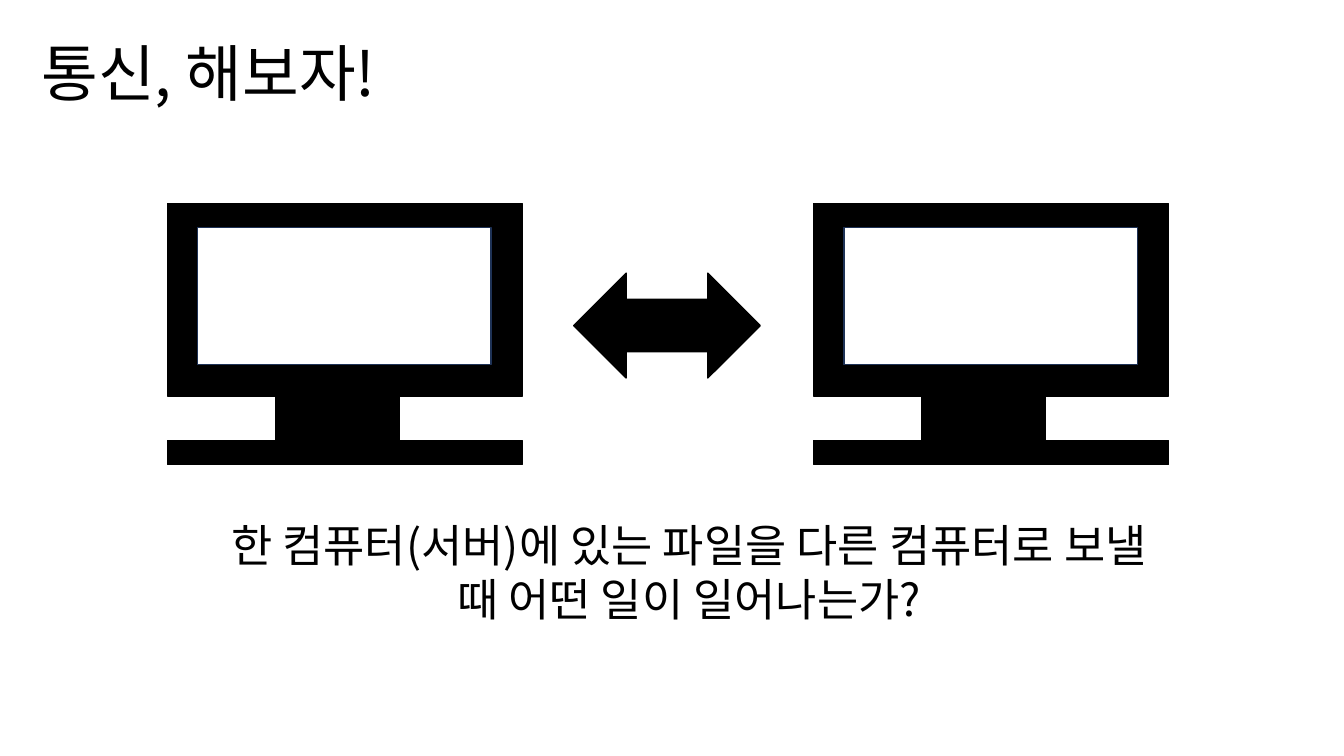
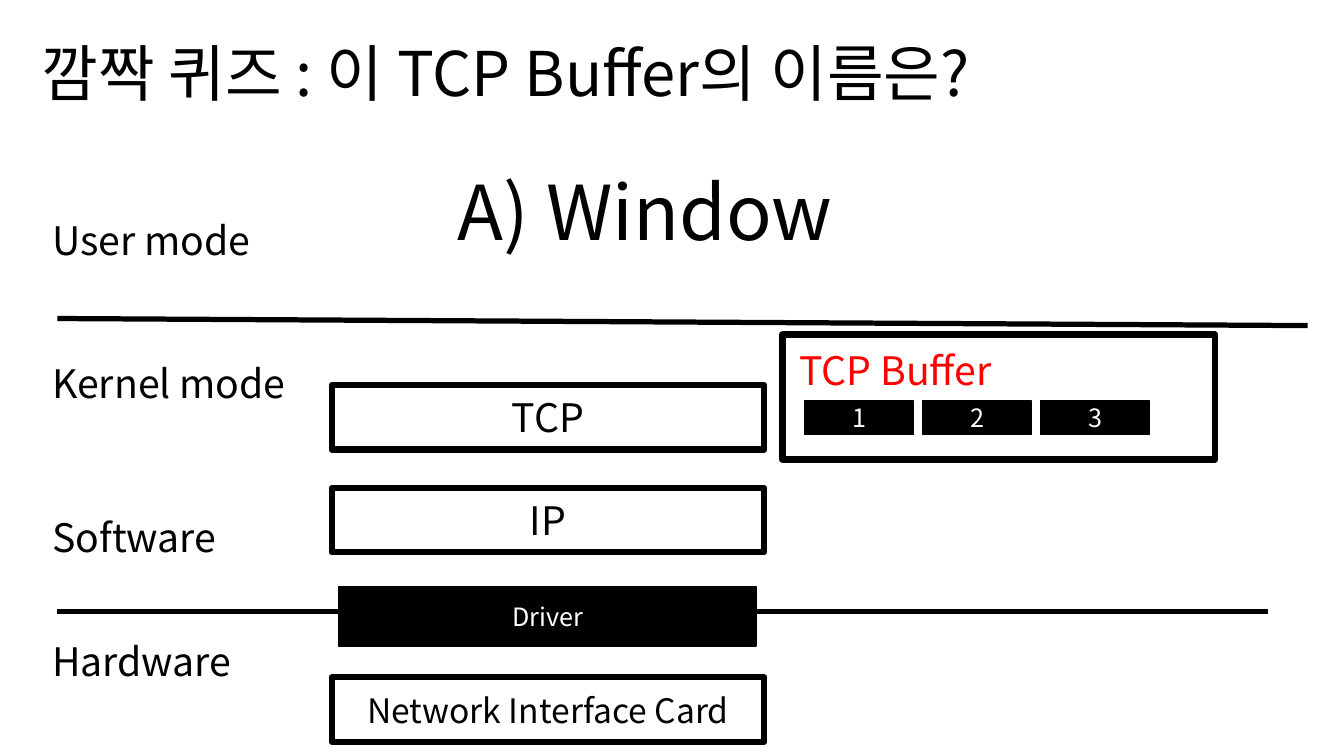
from lxml.etree import SubElement
from pptx import Presentation
from pptx.dml.color import RGBColor
from pptx.enum.shapes import MSO_CONNECTOR, MSO_SHAPE as SHAPE
from pptx.enum.text import MSO_ANCHOR as ANCHOR, MSO_AUTO_SIZE as AUTO, PP_ALIGN as ALIGN
from pptx.oxml.ns import qn
from pptx.util import Inches, Pt

FONT = "Noto Sans CJK KR"
BLACK, WHITE, RED, NAVY = "000000", "FFFFFF", "FF0000", "1E3256"


def rgb(color):
    return RGBColor.from_string(color)


def box(x, y, w, h):
    return [Inches(v) for v in (x, y, w, h)]


def write(tf, text, size, color=BLACK, align=ALIGN.LEFT, anchor=ANCHOR.TOP):
    tf.word_wrap = True
    tf.auto_size = AUTO.NONE
    tf.vertical_anchor = anchor
    p = tf.paragraphs[0]
    p.text = text
    p.alignment = align
    p.font.size = Pt(size)
    p.font.name = FONT
    p.font.color.rgb = rgb(color)
    # Hangul takes its typeface from the East Asian font
    SubElement(p.font._element, qn("a:ea"), typeface=FONT)


def add_titled_slide(prs, title, width):
    s = prs.slides.add_slide(prs.slide_layouts[5])
    sp = s.shapes.title
    sp.left, sp.top, sp.width, sp.height = box(0.31, 0.3, width, 1.43)
    write(sp.text_frame, title, 44)
    return s


def add_label(s, text, x, y, w, h, size=28, color=BLACK, align=ALIGN.LEFT):
    sp = s.shapes.add_textbox(*box(x, y, w, h))
    write(sp.text_frame, text, size, color, align)


def add_block(s, x, y, w, h, fill=BLACK, line=BLACK, weight=1,
              text="", size=18, color=WHITE, kind=SHAPE.RECTANGLE):
    sp = s.shapes.add_shape(kind, *box(x, y, w, h))
    sp.shadow.inherit = False
    if fill:
        sp.fill.solid()
        sp.fill.fore_color.rgb = rgb(fill)
    else:
        sp.fill.background()
    sp.line.color.rgb = rgb(line)
    sp.line.width = Pt(weight)
    if text:
        write(sp.text_frame, text, size, color, ALIGN.CENTER, ANCHOR.MIDDLE)


def add_frame(s, x, y, h, text="", size=28):
    """Add a hollow box with a thick outline."""
    add_block(s, x, y, 4.29, h, fill=None, weight=4.5, text=text, size=size, color=BLACK)


def add_divider(s, x1, y1, x2, y2):
    line = s.shapes.add_connector(MSO_CONNECTOR.STRAIGHT, *box(x1, y1, x2, y2))
    line.line.color.rgb = rgb(BLACK)
    line.line.width = Pt(3.75)
    SubElement(line._element.spPr, qn("a:effectLst"))


def add_computer(s, x, y):
    w = 3.52
    add_block(s, x, y, w, 1.91)
    add_block(s, x + 1.07, y + 1.52, 1.23, 1.07)
    add_block(s, x, y + 2.35, w, 0.24)
    add_block(s, x + 0.3, y + 0.24, 2.91, 1.36, WHITE, NAVY)


def add_tcp_buffer(s, x, y):
    add_frame(s, x, y, 1.24)
    add_label(s, "TCP Buffer", x + 0.07, y + 0.07, 2.49, 0.57, color=RED)
    for i in range(3):
        add_block(s, x + 0.22 + 1.17 * i, y + 0.66, 1.08, 0.33, text=str(i + 1))


def add_stack(s, x):
    for text, y, size in (("TCP", 3.82, 28), ("IP", 4.84, 28),
                          ("Network Interface Card", 6.72, 24)):
        add_frame(s, x, y, 0.64, text, size)
    add_block(s, x + 0.07, 5.82, 4.14, 0.59, text="Driver")


def build_communication(prs):
    s = add_titled_slide(prs, "통신, 해보자!", 9.74)
    for x in (1.66, 8.07):
        add_computer(s, x, 2.02)
    add_block(s, 5.69, 2.71, 1.85, 1.04, kind=SHAPE.LEFT_RIGHT_ARROW)
    add_label(s, "한 컴퓨터(서버)에 있는 파일을 다른 컴퓨터로 보낼 때 어떤 일이 일어나는가?",
              2.08, 5.09, 9.51, 1.18, 32, align=ALIGN.CENTER)


def build_quiz(prs):
    s = add_titled_slide(prs, "깜짝 퀴즈 : 이 TCP Buffer의 이름은?", 10.95)
    for text, y in (("User mode", 2.1), ("Kernel mode", 3.52),
                    ("Software", 5.04), ("Hardware", 6.27)):
        add_label(s, text, 0.42, y, 4.19, 0.72)
    add_divider(s, 0.57, 3.16, 12.97, 3.23)
    add_divider(s, 0.57, 6.07, 12.58, 6.07)
    add_stack(s, 3.29)
    add_tcp_buffer(s, 7.76, 3.32)
    add_label(s, "A) Window", 4.44, 1.59, 8.02, 1.01, 54)


def main():
    prs = Presentation()
    prs.slide_width, prs.slide_height = Inches(13.33), Inches(7.5)
    build_communication(prs)
    build_quiz(prs)
    prs.save("out.pptx")


if __name__ == "__main__":
    main()
